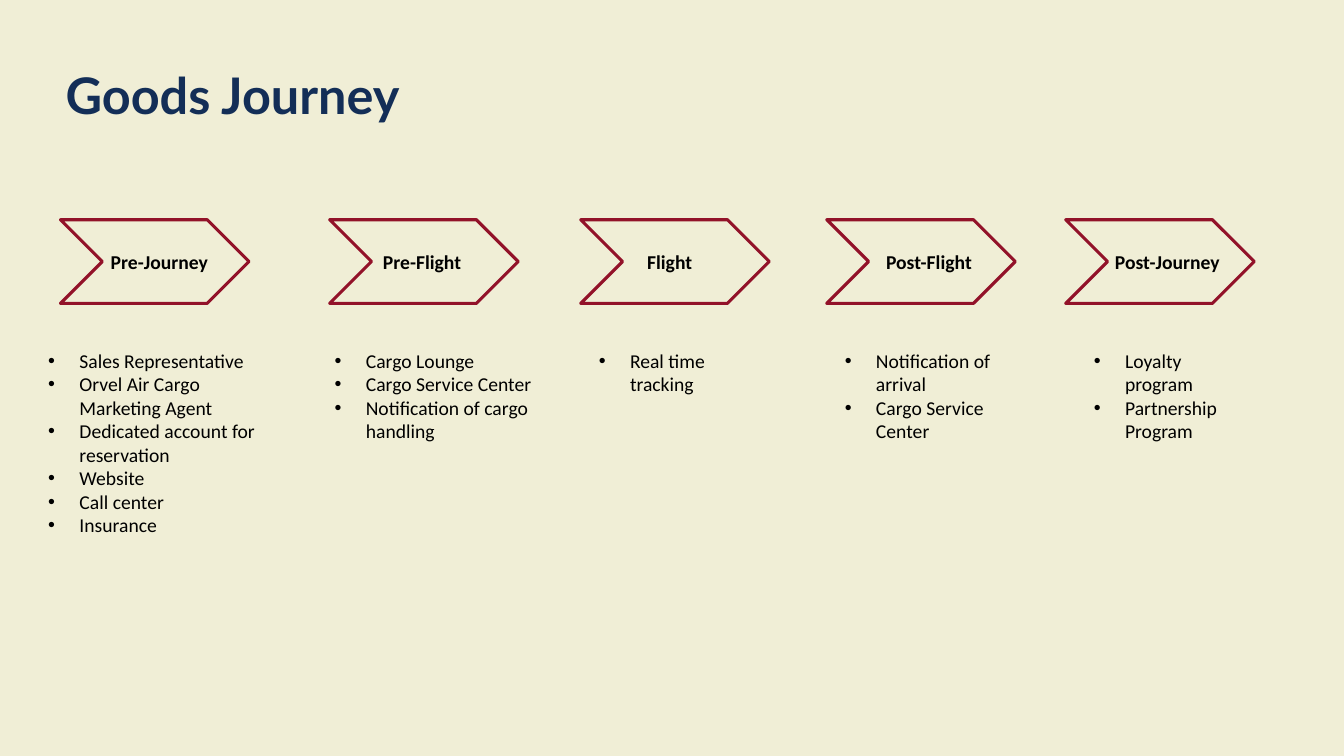
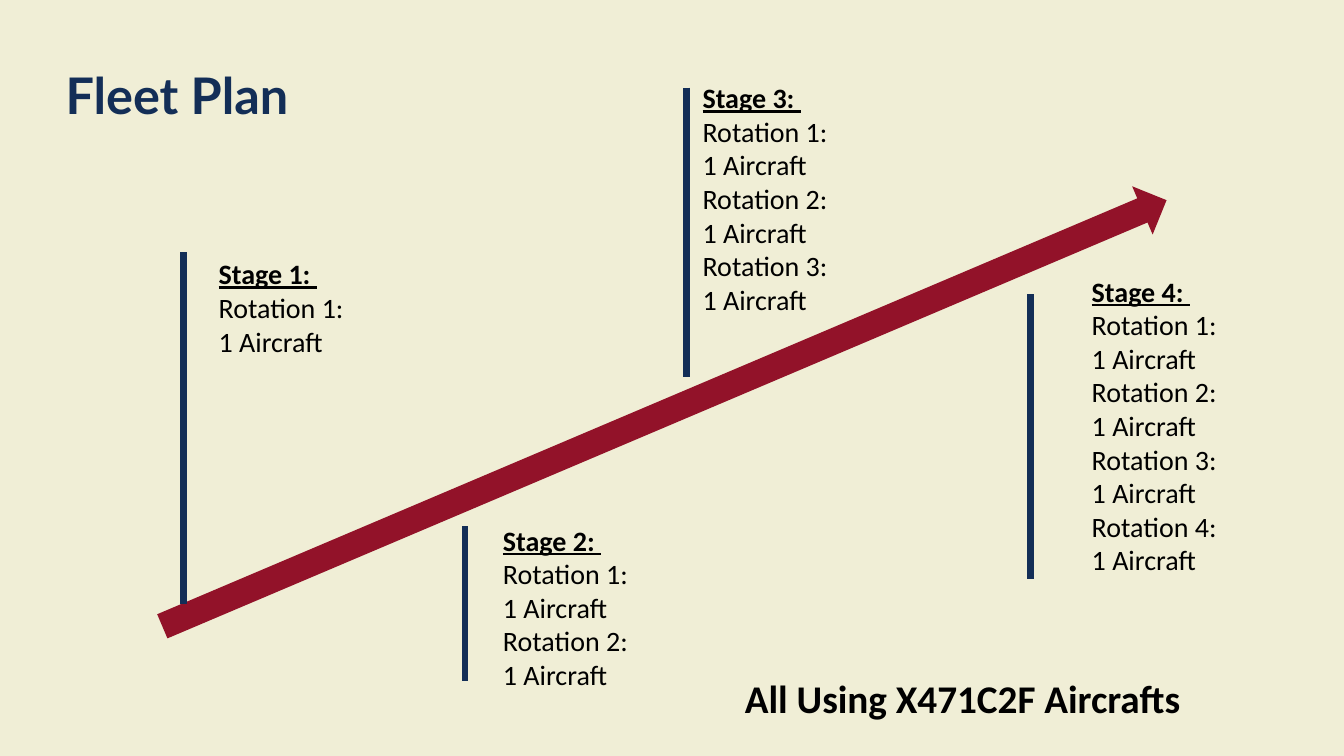
from dataclasses import dataclass

from pptx import Presentation
from pptx.dml.color import RGBColor
from pptx.enum.shapes import MSO_CONNECTOR, MSO_SHAPE
from pptx.enum.text import MSO_ANCHOR, PP_ALIGN
from pptx.oxml.ns import qn
from pptx.util import Inches, Pt
from lxml import etree


@dataclass(frozen=True)
class Theme:
    background: RGBColor = RGBColor(0xF0, 0xEE, 0xD6)
    navy: RGBColor = RGBColor(0x13, 0x2E, 0x57)
    red: RGBColor = RGBColor(0x92, 0x12, 0x29)
    text: RGBColor = RGBColor(0, 0, 0)
    title_font: str = "Lato"
    body_font: str = "Calibri"
    title_size: int = 36
    note_size: int = 28
    stage_size: int = 20
    step_size: int = 14


T = Theme()

# Step name, chevron left, label left, list left, list width, touchpoints
STEPS = [
    ("Pre-Journey", 0.6, 1.0, 0.38, 2.49,
     ["Sales Representative", "Orvel Air Cargo Marketing Agent",
      "Dedicated account for reservation", "Website", "Call center", "Insurance"]),
    ("Pre-Flight", 3.27, 3.7, 3.22, 2.21,
     ["Cargo Lounge", "Cargo Service Center", "Notification of cargo handling"]),
    ("Flight", 5.76, 6.32, 5.84, 1.71, ["Real time tracking"]),
    ("Post-Flight", 8.2, 8.69, 8.28, 1.71,
     ["Notification of arrival", "Cargo Service Center"]),
    ("Post-Journey", 10.57, 10.96, 10.75, 1.71,
     ["Loyalty program", "Partnership Program"]),
]
CHEVRON_TOP, CHEVRON_W, CHEVRON_H = 2.18, 1.87, 0.83
LABEL_W, LABEL_H = 1.4, 0.34
LABEL_TOP = CHEVRON_TOP + (CHEVRON_H - LABEL_H) / 2
LIST_TOP, LIST_INDENT, LIST_LINE = 3.41, 0.31, 0.24

# Text left, text top, marker x, marker top, marker bottom; stage n has n rotations
STAGES = [
    (2.07, 2.5, 1.82, 2.5, 5.99),
    (4.89, 5.14, 4.61, 5.22, 6.76),
    (6.87, 0.75, 6.81, 0.87, 3.74),
    (10.73, 2.67, 10.22, 2.92, 5.74),
]
STAGE_W, STAGE_LINE = 2.3, 0.34
FLEET_NOTE = "All Using X471C2F Aircrafts"


def inches(*values):
    return [Inches(v) for v in values]


def add_run(p, text, size, bold=False, underline=False, font=T.body_font, color=T.text):
    r = p.add_run()
    r.text = text
    f = r.font
    f.name, f.size, f.bold, f.underline = font, Pt(size), bold, underline
    f.color.rgb = color


def add_text_box(s, *box):
    tf = s.shapes.add_textbox(*inches(*box)).text_frame
    tf.word_wrap = True
    return tf


def paragraphs(tf, items):
    """Pair each item with its paragraph, starting with the existing one."""
    for i, item in enumerate(items):
        yield (tf.add_paragraph() if i else tf.paragraphs[0]), item


def set_bullet(p):
    pPr = p._p.get_or_add_pPr()
    pPr.set("marL", str(Inches(LIST_INDENT)))
    pPr.set("indent", str(-Inches(LIST_INDENT)))
    etree.SubElement(pPr, qn("a:buFont")).set("typeface", "Arial")
    etree.SubElement(pPr, qn("a:buChar")).set("char", "•")


def add_titled_slide(prs, layout, title):
    s = prs.slides.add_slide(layout)
    tf = s.shapes.title.text_frame
    tf.vertical_anchor = MSO_ANCHOR.MIDDLE
    p = tf.paragraphs[0]
    p.alignment, p.line_spacing = PP_ALIGN.LEFT, 0.9
    add_run(p, title, T.title_size, bold=True, font=T.title_font, color=T.navy)
    return s


def add_step(s, name, chevron_left, label_left, list_left, list_width, touchpoints):
    sp = s.shapes.add_shape(
        MSO_SHAPE.CHEVRON, *inches(chevron_left, CHEVRON_TOP, CHEVRON_W, CHEVRON_H))
    sp.shadow.inherit = False
    sp.fill.background()
    sp.line.color.rgb, sp.line.width = T.red, Pt(2.25)

    tf = add_text_box(s, label_left, LABEL_TOP, LABEL_W, LABEL_H)
    tf.vertical_anchor = MSO_ANCHOR.MIDDLE
    add_run(tf.paragraphs[0], name, T.step_size, bold=True)

    height = 0.1 + LIST_LINE * len(touchpoints)
    tf = add_text_box(s, list_left, LIST_TOP, list_width, height)
    for p, touchpoint in paragraphs(tf, touchpoints):
        set_bullet(p)
        add_run(p, touchpoint, T.step_size)


def add_growth_arrow(s):
    sp = s.shapes.add_shape(MSO_SHAPE.RIGHT_ARROW, *inches(1.18, 3.84, 10.82, 0.52))
    sp.rotation = 337
    sp.shadow.inherit = False
    sp.fill.solid()
    sp.fill.fore_color.rgb = T.red
    sp.line.fill.background()


def add_stage(s, number, left, top, marker_x, marker_top, marker_bottom):
    line = s.shapes.add_connector(
        MSO_CONNECTOR.STRAIGHT, *inches(marker_x, marker_top, marker_x, marker_bottom))
    line.line.color.rgb, line.line.width = T.navy, Pt(4.5)
    etree.SubElement(line._element.spPr, qn("a:effectLst"))

    height = 0.1 + STAGE_LINE * (1 + 2 * number)
    tf = add_text_box(s, left, top, STAGE_W, height)
    for p, rotation in paragraphs(tf, range(number + 1)):
        if rotation == 0:
            add_run(p, f"Stage {number}: ", T.stage_size, bold=True, underline=True)
        else:
            add_run(p, f"Rotation {rotation}:", T.stage_size)
            p.add_line_break()
            add_run(p, "1 Aircraft", T.stage_size)


def main():
    prs = Presentation()
    prs.slide_width, prs.slide_height = inches(13.33, 7.5)
    fill = prs.slide_master.background.fill
    fill.solid()
    fill.fore_color.rgb = T.background
    layout = prs.slide_layouts.get_by_name("Title Only")
    title = layout.placeholders[0]
    title.left, title.top, title.width, title.height = inches(0.55, 0.64, 6.38, 0.66)

    s = add_titled_slide(prs, layout, "Goods Journey")
    for step in STEPS:
        add_step(s, *step)

    s = add_titled_slide(prs, layout, "Fleet Plan")
    add_growth_arrow(s)
    for number, stage in enumerate(STAGES, 1):
        add_stage(s, number, *stage)
    tf = add_text_box(s, 7.29, 6.64, 5.5, 0.57)
    add_run(tf.paragraphs[0], FLEET_NOTE, T.note_size, bold=True)

    prs.save("out.pptx")


if __name__ == "__main__":
    main()
